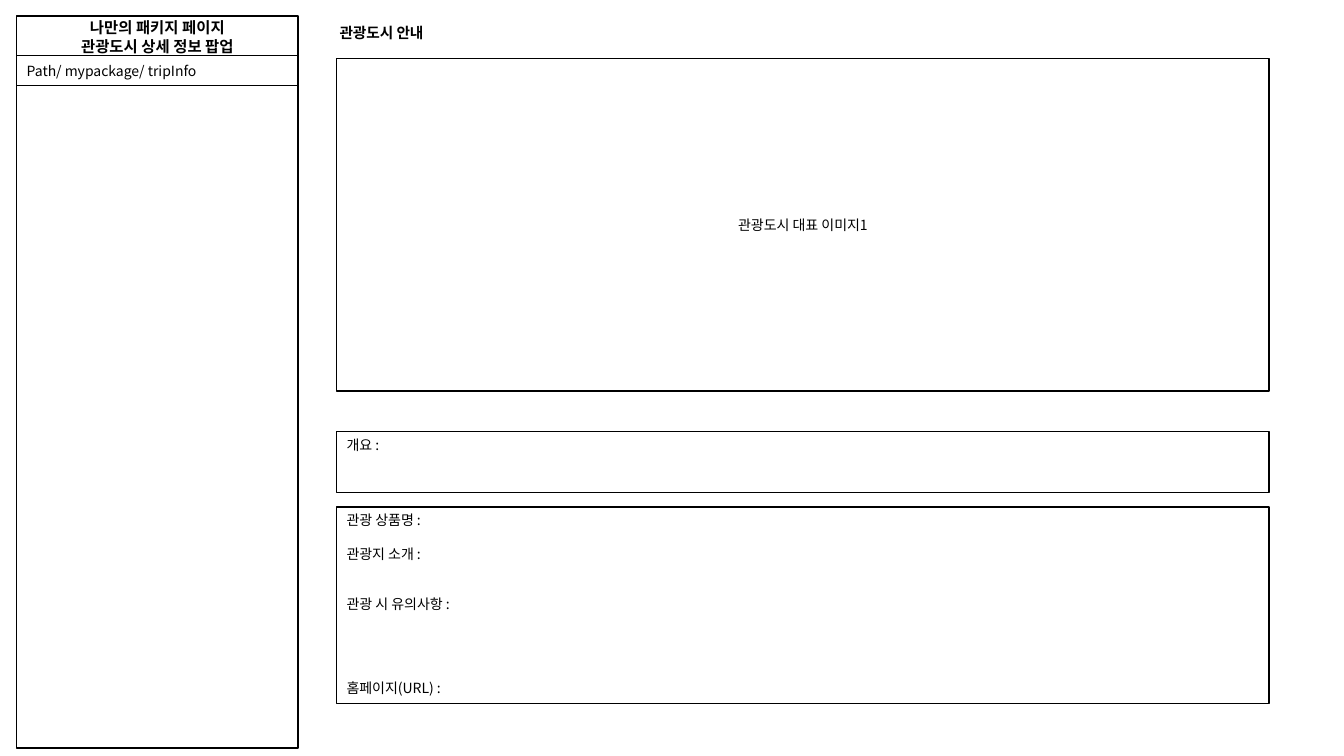
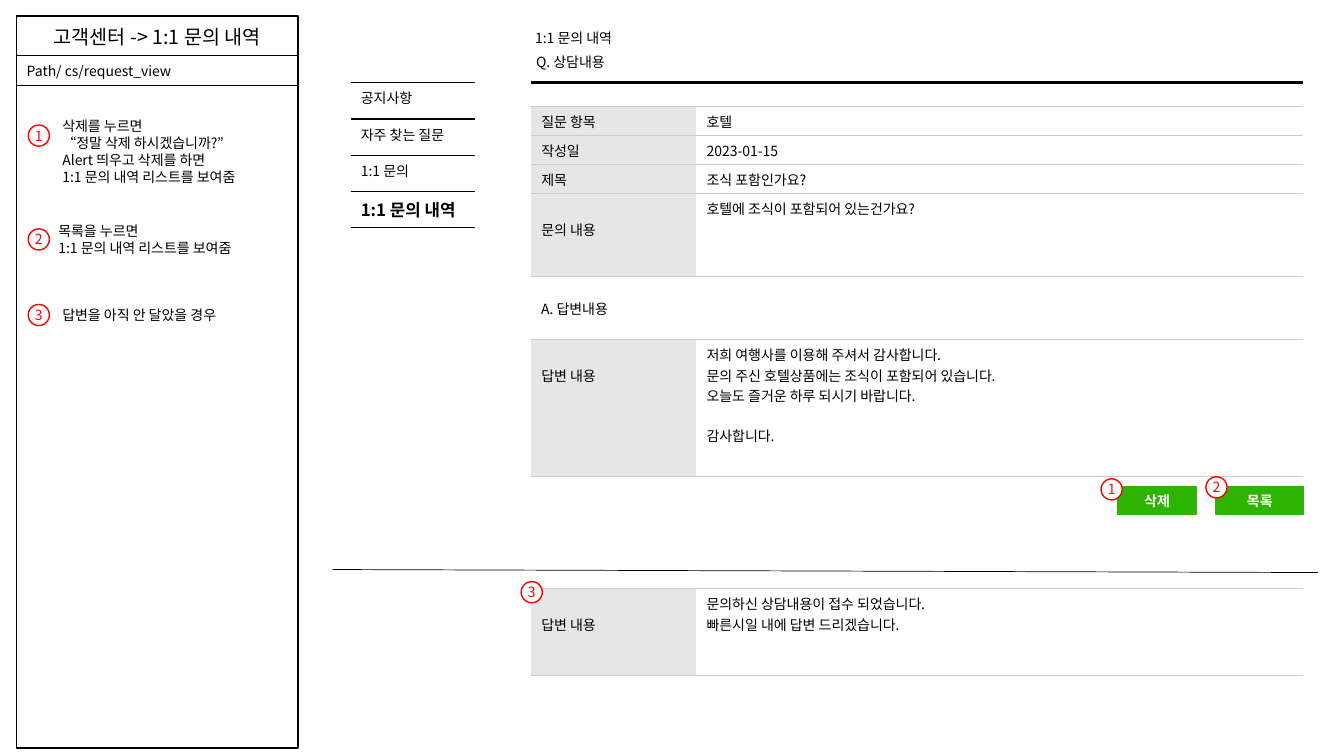
from dataclasses import dataclass

from lxml import etree
from pptx import Presentation
from pptx import util as u
from pptx.dml.color import RGBColor
from pptx.enum import shapes, text
from pptx.oxml.ns import qn


@dataclass(frozen=True)
class Theme:
    font: str = "Noto Sans CJK KR"
    ink: str = "000000"
    paper: str = "FFFFFF"
    rule: str = "CCCCCC"
    label: str = "E6E6E6"
    button: str = "2DB400"
    mark: str = "FF0000"
    body: float = 10
    heading: float = 10.5
    title: float = 11
    active: float = 12
    large_title: float = 14
    leading: float = 1.2
    outline: float = 1
    thin: float = 0.75


THEME = Theme()
SLIDE_WIDTH, SLIDE_HEIGHT = 13.33, 7.5
COLUMNS, ROWS = 40, 30
SIDE_LEFT, SIDE_WIDTH = 0.5, 8.37
MAIN_LEFT, MAIN_WIDTH = 10.02, 27.75
TABLE_LEFT, LABEL_WIDTH, VALUE_WIDTH = 15.81, 4.92, 18.06
TABLE_RIGHT = TABLE_LEFT + LABEL_WIDTH + VALUE_WIDTH
BADGE_WIDTH, BADGE_HEIGHT = 0.63, 0.84
LEFT, CENTER = text.PP_ALIGN.LEFT, text.PP_ALIGN.CENTER
TOP, MIDDLE = text.MSO_ANCHOR.TOP, text.MSO_ANCHOR.MIDDLE


def across(columns):
    return u.Inches(columns * SLIDE_WIDTH / COLUMNS)


def down(rows):
    return u.Inches(rows * SLIDE_HEIGHT / ROWS)


def area(left, top, width, height):
    return across(left), down(top), across(width), down(height)


def rgb(color):
    return RGBColor.from_string(color)


def write(frame, lines, size=THEME.body, color=THEME.ink, bold=False,
          align=LEFT, leading=None, gaps=None):
    """Fill a frame; gaps maps a line's index to the points left above it."""
    frame.word_wrap = True
    for index, line in enumerate(lines):
        para = frame.paragraphs[0] if index == 0 else frame.add_paragraph()
        para.text = line
        para.alignment = align
        if leading:
            para.line_spacing = u.Pt(size * leading)
        para.space_before = u.Pt((gaps or {}).get(index, 0))
        font = para.font
        font.name, font.size, font.bold = THEME.font, u.Pt(size), bold
        font.color.rgb = rgb(color)
        latin = font._element.find(qn("a:latin"))
        east_asian = etree.Element(qn("a:ea"), typeface=THEME.font)
        latin.addnext(east_asian)


def add_box(page, place, lines=(), fill=THEME.paper, line=THEME.ink,
            weight=THEME.outline, anchor=MIDDLE, oval=False, **style):
    kind = shapes.MSO_SHAPE.OVAL if oval else shapes.MSO_SHAPE.RECTANGLE
    box = page.shapes.add_shape(kind, *area(*place))
    box.shadow.inherit = False
    box.fill.solid()
    box.fill.fore_color.rgb = rgb(fill)
    box.line.color.rgb = rgb(line)
    box.line.width = u.Pt(weight)
    frame = box.text_frame
    frame.vertical_anchor = anchor
    if oval:
        frame.margin_left = frame.margin_right = 0
        frame.margin_top = frame.margin_bottom = 0
    write(frame, lines, leading=THEME.leading, **style)


def add_text(page, place, *lines, **style):
    box = page.shapes.add_textbox(*area(*place))
    write(box.text_frame, lines, leading=THEME.leading, **style)


def add_badge(page, left, top, number):
    add_box(page, (left, top, BADGE_WIDTH, BADGE_HEIGHT), [str(number)],
            line=THEME.mark, color=THEME.mark, align=CENTER, oval=True)


def add_button(page, left, width, caption):
    add_box(page, (left, 19.32, width, 1.08), [caption], fill=THEME.button,
            line=THEME.button, weight=THEME.thin, color=THEME.paper,
            bold=True, align=CENTER)


def add_rule(page, start, end, weight):
    rule = page.shapes.add_connector(
        shapes.MSO_CONNECTOR.STRAIGHT, across(start[0]), down(start[1]),
        across(end[0]), down(end[1]))
    rule.line.color.rgb = rgb(THEME.ink)
    rule.line.width = u.Pt(weight)
    etree.SubElement(rule._element.spPr, qn("a:effectLst"))


def set_borders(cell, color):
    """Rule a cell above and below, and leave its sides open."""
    properties = cell._tc.get_or_add_tcPr()
    for index, side in enumerate(("lnL", "lnR", "lnT", "lnB")):
        border = etree.Element(qn("a:" + side), w=str(u.Pt(THEME.outline)))
        if side in ("lnL", "lnR"):
            etree.SubElement(border, qn("a:noFill"))
        else:
            fill = etree.SubElement(border, qn("a:solidFill"))
            etree.SubElement(fill, qn("a:srgbClr"), val=color)
        properties.insert(index, border)


def add_grid(page, left, top, widths, heights, color):
    """Add an unfilled table with horizontal rules only."""
    place = area(left, top, sum(widths), sum(heights))
    table = page.shapes.add_table(len(heights), len(widths), *place).table
    table.first_row = table.horz_banding = False
    for column, width in zip(table.columns, widths):
        column.width = across(width)
    for row, height in zip(table.rows, heights):
        row.height = down(height)
    for cell in table.iter_cells():
        cell.fill.background()
        cell.margin_bottom = u.Inches(0.03)
        set_borders(cell, color)
    return table


def add_details(page, top, entries):
    """Add label and value rows; each entry is height, label, lines, gaps."""
    table = add_grid(page, TABLE_LEFT, top, (LABEL_WIDTH, VALUE_WIDTH),
                     [entry[0] for entry in entries], THEME.rule)
    for row, (height, label, lines, gaps) in enumerate(entries):
        label_cell, value_cell = table.cell(row, 0), table.cell(row, 1)
        label_cell.fill.solid()
        label_cell.fill.fore_color.rgb = rgb(THEME.label)
        if height > 2:
            label_cell.margin_top = u.Inches(0.25)
        write(label_cell.text_frame, [label])
        write(value_cell.text_frame, lines, gaps=gaps)


def add_menu(page, items):
    table = add_grid(page, 10.44, 3.28, [3.69], [1.44] * len(items), THEME.ink)
    for row, item in enumerate(items):
        active = row == len(items) - 1
        write(table.cell(row, 0).text_frame, [item], bold=active,
              size=THEME.active if active else THEME.body)


def add_sidebar(page, title, route, **title_style):
    add_box(page, (SIDE_LEFT, 2.8, SIDE_WIDTH, 26.88))
    add_box(page, (SIDE_LEFT, 0.64, SIDE_WIDTH, 1.64), title, align=CENTER,
            **title_style)
    add_box(page, (SIDE_LEFT, 2.2, SIDE_WIDTH, 1.2), [route])


def build_city_page(page):
    add_sidebar(page, ["나만의 패키지 페이지", "관광도시 상세 정보 팝업"],
                "Path/ mypackage/ tripInfo", size=THEME.title, bold=True)
    add_text(page, (9.81, 0.76, 6.93, 1.12), "관광도시 안내",
             size=THEME.heading, bold=True)
    add_box(page, (MAIN_LEFT, 2.32, MAIN_WIDTH, 13.2),
            ["관광도시 대표 이미지1"], align=CENTER)
    add_box(page, (MAIN_LEFT, 17.12, MAIN_WIDTH, 2.44), ["개요 :"],
            weight=THEME.thin, anchor=TOP)
    line = THEME.body * THEME.leading
    add_box(page, (MAIN_LEFT, 20.12, MAIN_WIDTH, 7.8),
            ["관광 상품명 :", "관광지 소개 :", "관광 시 유의사항 :",
             "홈페이지(URL) :"], weight=THEME.thin, anchor=TOP,
            gaps={1: line, 2: 2 * line, 3: 4 * line})


def build_inquiry_page(page):
    add_sidebar(page, ["고객센터 -> 1:1 문의 내역"], "Path/ cs/request_view",
                size=THEME.large_title)
    add_text(page, (1.56, 4.48, 6.9, 3.08), "삭제를 누르면",
             "“정말 삭제 하시겠습니까?”", "Alert 띄우고 삭제를 하면",
             "1:1 문의 내역 리스트를 보여줌")
    add_text(page, (1.44, 8.64, 6.9, 1.76), "목록을 누르면",
             "1:1 문의 내역 리스트를 보여줌")
    add_text(page, (1.56, 11.96, 7.3, 1.08), "답변을 아직 안 달았을 경우")
    add_menu(page, ["공지사항", "자주 찾는 질문", "1:1 문의", "1:1 문의 내역"])

    add_text(page, (15.63, 0.96, 13.5, 1.08), "1:1 문의 내역")
    add_text(page, (15.66, 1.92, 8.73, 1.08), "Q. 상담내용")
    add_rule(page, (TABLE_LEFT, 3.28), (TABLE_RIGHT, 3.28), 2.25)
    add_details(page, 4.24, [
        (1.15, "질문 항목", ["호텔"], None),
        (1.15, "작성일", ["2023-01-15"], None),
        (1.15, "제목", ["조식 포함인가요?"], None),
        (3.27, "문의 내용", ["호텔에 조식이 포함되어 있는건가요?"], None),
    ])
    add_text(page, (TABLE_LEFT, 11.72, 8.73, 1.08), "A. 답변내용")
    add_details(page, 13.48, [
        (5.44, "답변 내용",
         ["저희 여행사를 이용해 주셔서 감사합니다.",
          "문의 주신 호텔상품에는 조식이 포함되어 있습니다.",
          "오늘도 즐거운 하루 되시기 바랍니다.", "감사합니다."], {3: 14.5}),
    ])
    add_button(page, 33.25, 2.37, "삭제")
    add_button(page, 36.19, 2.61, "목록")
    add_rule(page, (9.9, 22.6), (39.22, 22.72), 0.5)
    add_details(page, 23.36, [
        (3.44, "답변 내용", ["문의하신 상담내용이 접수 되었습니다.",
                         "빠른시일 내에 답변 드리겠습니다."], None),
    ])
    badges = [(0.84, 4.96, 1), (0.84, 9.08, 2), (0.84, 12.08, 3),
              (32.77, 19, 1), (35.89, 18.92, 2), (15.51, 23.08, 3)]
    for left, top, number in badges:
        add_badge(page, left, top, number)


def main():
    deck = Presentation()
    deck.slide_width = u.Inches(SLIDE_WIDTH)
    deck.slide_height = u.Inches(SLIDE_HEIGHT)
    for build in (build_city_page, build_inquiry_page):
        build(deck.slides.add_slide(deck.slide_layouts[6]))
    deck.save("out.pptx")


if __name__ == "__main__":
    main()
